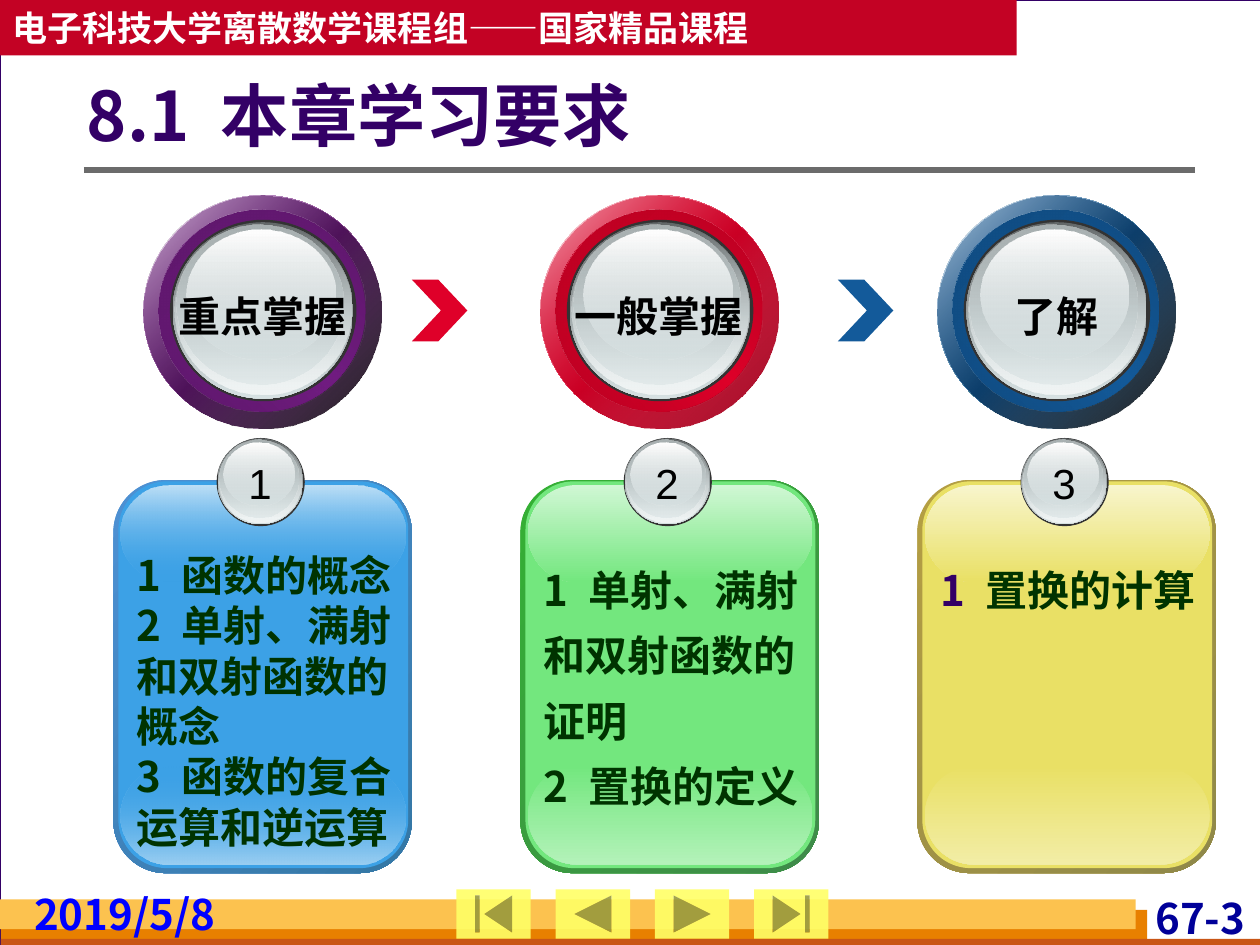
from lxml.etree import SubElement
from pptx import Presentation
from pptx.dml.color import RGBColor
from pptx.enum.shapes import MSO_CONNECTOR, MSO_SHAPE
from pptx.enum.text import MSO_ANCHOR, MSO_AUTO_SIZE, PP_ALIGN
from pptx.oxml.ns import qn
from pptx.util import Pt

CJK = "Noto Sans CJK SC"


def draw(holder, kind, frame, *stops, angle=90, adjust=None):
    """Add a borderless shape; stops are RRGGBB or RRGGBB@opacity, several make a gradient."""
    shape = holder.shapes.add_shape(kind, *[Pt(length) for length in frame])
    shape.shadow.inherit = False
    shape.line.fill.background()
    if adjust is not None:
        shape.adjustments[0] = adjust
    shape.fill.solid()
    solid = shape.fill._xPr.find(qn("a:solidFill"))
    parents = [solid]
    if len(stops) > 1:
        gradient = solid.makeelement(qn("a:gradFill"), {"rotWithShape": "1"})
        solid.getparent().replace(solid, gradient)
        stop_list = SubElement(gradient, qn("a:gsLst"))
        parents = [SubElement(stop_list, qn("a:gs"), pos=str(100000 * i // (len(stops) - 1)))
                   for i in range(len(stops))]
        SubElement(gradient, qn("a:lin"), ang=str(angle * 60000), scaled="0")
    for parent, stop in zip(parents, stops):
        for child in list(parent):
            parent.remove(child)
        value, _, opacity = stop.partition("@")
        color = SubElement(parent, qn("a:srgbClr"), val=value)
        if opacity:
            SubElement(color, qn("a:alpha"), val=str(int(opacity) * 1000))
    return shape


def write(frame, *lines, size=24, font=CJK, color="000000", lead=None, bold=True,
          align=PP_ALIGN.LEFT, anchor=MSO_ANCHOR.TOP, spacing=None, tab=None,
          margins=(7.2, 3.6, 7.2, 3.6), wrap=True, grow=True):
    """Fill a text frame; lead colours the part of a line before its tab."""
    frame.word_wrap = wrap
    frame.auto_size = MSO_AUTO_SIZE.SHAPE_TO_FIT_TEXT if grow else MSO_AUTO_SIZE.NONE
    frame.vertical_anchor = anchor
    (frame.margin_left, frame.margin_top,
     frame.margin_right, frame.margin_bottom) = [Pt(margin) for margin in margins]
    for i, line in enumerate(lines):
        para = frame.add_paragraph() if i else frame.paragraphs[0]
        para.alignment = align
        if spacing:
            para.line_spacing = spacing
        if tab:
            tabs = SubElement(para._p.get_or_add_pPr(), qn("a:tabLst"))
            SubElement(tabs, qn("a:tab"), pos=str(Pt(tab)), algn="l")
        head, gap, tail = line.partition("\t")
        for text, shade in ((head + gap, lead or color), (tail, color)):
            if text:
                span = para.add_run()
                span.text = text
                span.font.name = font
                span.font.size = Pt(size)
                span.font.bold = bold
                span.font.color.rgb = RGBColor.from_string(shade)
                SubElement(span._r.get_or_add_rPr(), qn("a:ea"), typeface=CJK)


deck = Presentation()
deck.slide_width, deck.slide_height = Pt(720), Pt(540)
page = deck.slides.add_slide(deck.slide_layouts[5])
page.background.fill.solid()
page.background.fill.fore_color.rgb = RGBColor.from_string("D8DADA")

# Frame, header and footer bands
paper = draw(page, MSO_SHAPE.RECTANGLE, (0, 0, 720.5, 540), "FFFFFF")
paper.line.color.rgb = RGBColor.from_string("330066")
paper.line.width = Pt(0.75)
header = draw(page, MSO_SHAPE.RECTANGLE, (0, 0, 581, 31.7), "C30224")
write(header.text_frame, "电子科技大学离散数学课程组——国家精品课程", size=20,
      color="FFFFFF", anchor=MSO_ANCHOR.MIDDLE, grow=False)
for frame, color in (((0.5, 520, 655, 20), "E88000"),
                     ((0.5, 536.5, 720, 5.5), "C95616"),
                     ((0, 514, 649, 17), "FCC24F")):
    draw(page, MSO_SHAPE.RECTANGLE, frame, color)

rule = page.shapes.add_connector(MSO_CONNECTOR.STRAIGHT, Pt(48), Pt(97.2), Pt(683), Pt(97.2))
rule.line.color.rgb = RGBColor.from_string("6B6B6B")
rule.line.width = Pt(3)
SubElement(rule._element.spPr, qn("a:effectLst"))

buttons = (MSO_SHAPE.ACTION_BUTTON_BEGINNING, MSO_SHAPE.ACTION_BUTTON_BACK_OR_PREVIOUS,
           MSO_SHAPE.ACTION_BUTTON_FORWARD_OR_NEXT, MSO_SHAPE.ACTION_BUTTON_END)
for i, kind in enumerate(buttons):
    draw(page, kind, (260.8 + 56.7 * i, 508.2, 42.5, 28.2), "FFFF66@90")

for text, left, top, width, color, align in (
        ("67-3", 610, 509.8, 104.4, "000099", PP_ALIGN.RIGHT),
        ("2019/5/8", 16.6, 507.6, 118.8, "0000FF", PP_ALIGN.LEFT)):
    box = page.shapes.add_textbox(Pt(left), Pt(top), Pt(width), Pt(28.8))
    write(box.text_frame, text, color=color, align=align, margins=(2.9, 0, 2.9, 0))

title = page.shapes.title
title.left, title.top, title.width, title.height = Pt(49.7), Pt(43.2), Pt(560), Pt(49.7)
write(title.text_frame, "8.1\t本章学习要求", size=39, color="330066", spacing=0.9, tab=76.5,
      anchor=MSO_ANCHOR.MIDDLE, margins=(0, 3.6, 7.2, 3.6), grow=False)
page.shapes._spTree.append(title._element)  # in front of the white paper

for left, color in ((235.4, "DF0029"), (478.8, "135A9A")):
    draw(page, MSO_SHAPE.CHEVRON, (left, 159.8, 31.7, 35.3), color, adjust=0.525)

# Glass layers shared by the dials and the numbered knobs
glass = (("333333",), ("636869", "D6E1E2"), ("D6E1E2@0", "F1F5F5"),
         ("AAB2B3", "D6E1E2@48"), ("FFFFFF", "D6E1E2@38"))
dial_glass = ((15.1, 14, 106.6, 103.7), (16.7, 15.4, 103, 100.8), (18, 16.1, 100.8, 97.9),
              (18.7, 16.9, 95.8, 91.4), (24.5, 19.4, 85, 74.2))
knob_glass = ((59, -24, 50.4, 50.4), (59.5, -23.8, 49, 49), (60, -23.3, 47.5, 47.5),
              (60.6, -23, 45.4, 44.6), (63.2, -21.6, 40.3, 36))

# Dials: label, label width, tone, ring shadow, groove edge, groove glow
dials = (("重点掌握", 111, "711C81", "000000@90", "571563", "5D176A"),
         ("一般掌握", 112, "DF0029", "A0001D", "AB001F", "B70022"),
         ("了解", 63, "135A9A", "000000@90", "0F4576", "104A7E"))
for i, (label, width, tone, shadow, edge, glow) in enumerate(dials):
    left, top = 82 + 226.8 * i, 111.6
    dial = page.shapes.add_group_shape()
    ring, groove = (0, 0, 136, 133.2), (8.6, 8.4, 118, 115.2)
    layers = [(ring, ("FFFFFF", tone, "FFFFFF"), 45), (ring, (tone + "@32", shadow), 45),
              (groove, (edge, tone, edge), 315), (groove, (glow, tone + "@0"), 45)]
    layers += [(frame, stops, 90) for frame, stops in zip(dial_glass, glass)]
    for (dx, dy, w, h), stops, angle in layers:
        draw(dial, MSO_SHAPE.OVAL, (left + dx, top + dy, w, h), *stops, angle=angle)
    box = dial.shapes.add_textbox(Pt(left + 68.3 - width / 2), Pt(162.7), Pt(width), Pt(36))
    write(box.text_frame, label, font="Arial", wrap=False)

# Cards: left, back gradient, face, foot glow, head glow, opacity of the faded end,
# text height, line spacing, colour of the numbers, lines
cards = ((64.8, ("4E91D4", "3477A4"), "3CA1E6", "9BCFF2", "BEE0F7", "@0", 180, 1.0, "003300",
          ("1\t函数的概念", "2\t单射、满射和双射函数的概念", "3\t函数的复合运算和逆运算")),
         (297.4, ("34B034", "3F8B4A"), "73E77E", "B3F2B9", "D0F7D4", "", 157, 1.3, "003300",
          ("1\t单射、满射和双射函数的证明", "2\t置换的定义")),
         (524.2, ("B59F43", "8F8849"), "E9E065", "F2EDA6", "F8F5CC", "", 44.6, 1.3, "330066",
          ("1\t置换的计算",)))
for number, (left, back, face, foot, head, fade, height, spacing, lead, lines) in enumerate(cards, 1):
    top = 274.3
    card = page.shapes.add_group_shape()
    for (dx, dy, w, h), stops, angle, radius in (
            ((0, 0, 170.6, 224.6), back, 45, 0.175),
            ((2.9, 0.8, 165.6, 221), (face,), 90, 0.167),
            ((4.3, 163.5, 162.7, 56.2), (face + fade, foot), 90, 0.5),
            ((4.3, 2.9, 162.7, 55.4), (head, face + fade), 90, 0.5)):
        draw(card, MSO_SHAPE.ROUNDED_RECTANGLE, (left + dx, top + dy, w, h), *stops,
             angle=angle, adjust=radius)
    for (dx, dy, w, h), stops in zip(knob_glass, glass):
        draw(card, MSO_SHAPE.OVAL, (left + dx, top + dy, w, h), *stops)
    box = card.shapes.add_textbox(Pt(left + 69.8), Pt(top - 16.5), Pt(28), Pt(36))
    write(box.text_frame, str(number), font="Arial", bold=False, align=PP_ALIGN.CENTER, wrap=False)
    box = card.shapes.add_textbox(Pt(left + 6.3), Pt(310.3), Pt(162), Pt(height))
    write(box.text_frame, *lines, color="003300", lead=lead, spacing=spacing, tab=25.5)

deck.save("out.pptx")
